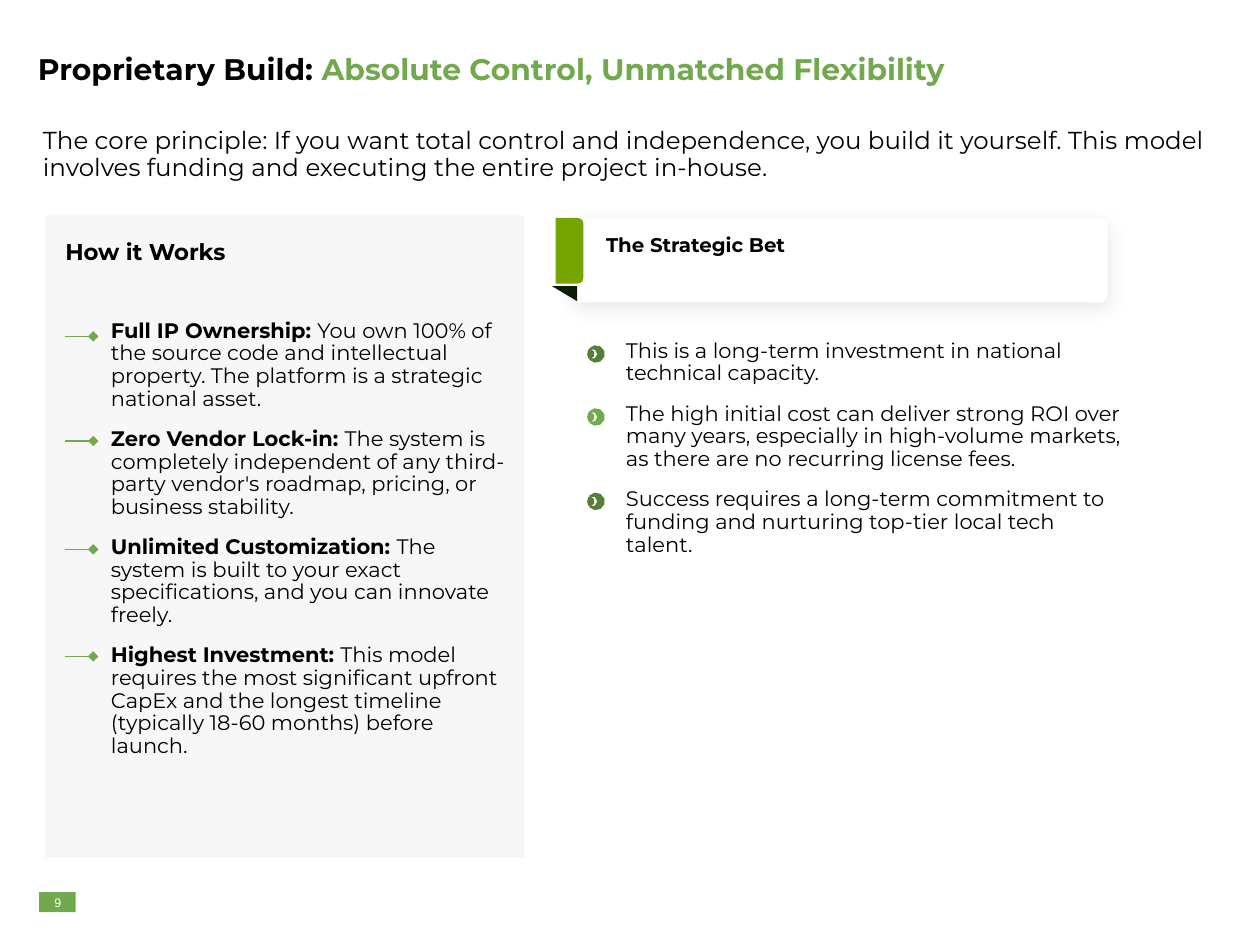
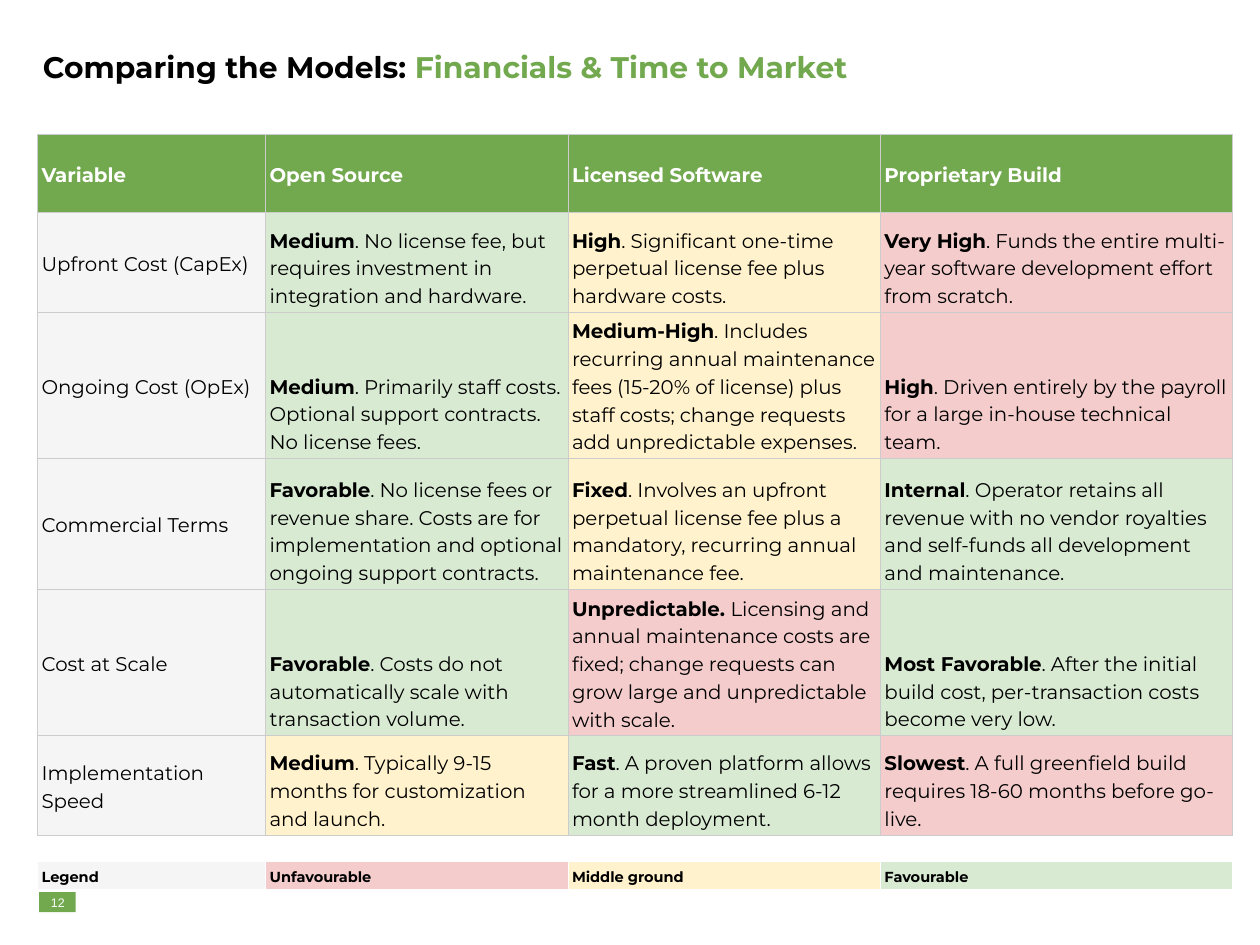
import math

from lxml import etree
from pptx import Presentation
from pptx.dml.color import RGBColor
from pptx.enum import shapes, text
from pptx.oxml import ns
from pptx.util import Inches, Pt

INK = {
    "black": "000000", "white": "FFFFFF", "green": "72A84E", "moss": "557E3A",
    "lime": "75A403", "night": "0D1C05", "panel": "F7F7F7", "label": "F5F5F5",
    "good": "D9EAD3", "mid": "FFF2CC", "bad": "F4CCCC", "grid": "CCCCCC",
}
FONT = "Montserrat"
SHAPE = shapes.MSO_SHAPE
ANCHOR = text.MSO_ANCHOR
COLS = [1.81, 2.4, 2.48, 2.79]

WORKS = [
    ("Full IP Ownership: ", "You own 100% of the source code and intellectual property. "
     "The platform is a strategic national asset."),
    ("Zero Vendor Lock-in: ", "The system is completely independent of any third-party "
     "vendor's roadmap, pricing, or business stability."),
    ("Unlimited Customization: ", "The system is built to your exact specifications, "
     "and you can innovate freely."),
    ("Highest Investment: ", "This model requires the most significant upfront CapEx and "
     "the longest timeline (typically 18-60 months) before launch."),
]
BETS = [
    "This is a long-term investment in national technical capacity.",
    "The high initial cost can deliver strong ROI over many years, especially in "
    "high-volume markets, as there are no recurring license fees.",
    "Success requires a long-term commitment to funding and nurturing top-tier local "
    "tech talent.",
]
HEADS = ["Variable", "Open Source", "Licensed Software", "Proprietary Build"]
# Each row: label, then (rating, verdict, detail) for every model
RATES = [
    ("Upfront Cost (CapEx)",
     ("good", "Medium", ". No license fee, but requires investment in integration and hardware."),
     ("mid", "High", ". Significant one-time perpetual license fee plus hardware costs."),
     ("bad", "Very High", ". Funds the entire multi-year software development effort from scratch.")),
    ("Ongoing Cost (OpEx)",
     ("good", "Medium", ". Primarily staff costs. Optional support contracts. No license fees."),
     ("mid", "Medium-High", ". Includes recurring annual maintenance fees (15-20% of license) "
      "plus staff costs; change requests add unpredictable expenses."),
     ("bad", "High", ". Driven entirely by the payroll for a large in-house technical team.")),
    ("Commercial Terms",
     ("good", "Favorable", ". No license fees or revenue share. Costs are for implementation "
      "and optional ongoing support contracts."),
     ("mid", "Fixed", ". Involves an upfront perpetual license fee plus a mandatory, "
      "recurring annual maintenance fee."),
     ("good", "Internal", ". Operator retains all revenue with no vendor royalties and "
      "self-funds all development and maintenance.")),
    ("Cost at Scale",
     ("good", "Favorable", ". Costs do not automatically scale with transaction volume."),
     ("bad", "Unpredictable. ", "Licensing and annual maintenance costs are fixed; change "
      "requests can grow large and unpredictable with scale."),
     ("good", "Most Favorable", ". After the initial build cost, per-transaction costs "
      "become very low.")),
    ("Implementation Speed",
     ("mid", "Medium", ". Typically 9-15 months for customization and launch."),
     ("good", "Fast", ". A proven platform allows for a more streamlined 6-12 month deployment."),
     ("bad", "Slowest", ". A full greenfield build requires 18-60 months before go-live.")),
]
LEGEND = [("label", "Legend"), ("bad", "Unfavourable"), ("mid", "Middle ground"),
          ("good", "Favourable")]


def rgb(key):
    return RGBColor.from_string(INK[key])


def node(parent, tag, **attrs):
    item = etree.SubElement(parent, ns.qn(tag))
    for key, value in attrs.items():
        item.set(key, str(value))
    return item


def paint(shape, ink):
    shape.shadow.inherit = False
    shape.fill.solid()
    shape.fill.fore_color.rgb = rgb(ink)
    shape.line.fill.background()
    return shape


def block(slide, kind, box, ink, turn=0, round_by=None):
    """Add a filled preset shape; box is its frame before turning."""
    shape = paint(slide.shapes.add_shape(kind, *map(Inches, box)), ink)
    shape.rotation = turn
    if round_by is not None:
        shape.adjustments[0] = round_by
        shape.adjustments[1] = 0
    return shape


def write(para, runs, size, line=0.9, font=FONT):
    """Fill a paragraph from (words, bold, colour) runs."""
    para.line_spacing = line
    for words, bold, ink in runs:
        run = para.add_run()
        run.text = words
        run.font.name, run.font.size, run.font.bold = font, Pt(size), bold
        run.font.color.rgb = rgb(ink)


def label(slide, box, paras, size, pad=(0.04, 0.02), anchor=ANCHOR.TOP, **style):
    frame = slide.shapes.add_textbox(*map(Inches, box)).text_frame
    frame.word_wrap = True
    frame.vertical_anchor = anchor
    frame.margin_left = frame.margin_right = Inches(pad[0])
    frame.margin_top = frame.margin_bottom = Inches(pad[1])
    for i, runs in enumerate(paras):
        para = frame.add_paragraph() if i else frame.paragraphs[0]
        if i:
            para.space_before = Pt(10)
        write(para, runs, size, **style)
    return frame


def base(deck, box, lead, tail, page):
    """Start a slide with its two-colour title and page number."""
    slide = deck.slides.add_slide(deck.slide_layouts[6])
    label(slide, box, [[(lead, True, "black"), (tail, True, "green")]], 17,
          anchor=ANCHOR.MIDDLE)
    block(slide, SHAPE.RECTANGLE, (0.31, 7.08, 0.29, 0.16), "green")
    frame = label(slide, (0.36, 7.09, 0.2, 0.14), [[(page, False, "white")]], 7.1,
                  (0, 0), ANCHOR.MIDDLE, line=1, font="Arial")
    frame.paragraphs[0].alignment = text.PP_ALIGN.CENTER
    return slide


def pin(slide, x, y):
    """Draw a short line ending in a diamond."""
    line = slide.shapes.add_connector(shapes.MSO_CONNECTOR.STRAIGHT, Inches(x), Inches(y),
                                      Inches(x + 0.22), Inches(y))
    line.line.color.rgb = rgb("green")
    line.line.width = Pt(0.75)
    node(line.line._get_or_add_ln(), "a:tailEnd", type="diamond")
    node(line._element.spPr, "a:effectLst")


def arc(x, y, r, start, end, steps):
    angles = [math.radians(start + (end - start) * i / steps) for i in range(steps + 1)]
    return [(Inches(x + r * math.cos(a)), Inches(y + r * math.sin(a))) for a in angles]


def moon(slide, x, y, ink):
    """Draw a disc cut by a crescent, centred at x, y."""
    disc = arc(x, y, 0.07, -140, 140, 7) + arc(x - 0.03, y, 0.04, 110, -110, 4)
    lens = arc(x - 0.05, y, 0.04, -80, 80, 3) + arc(x, y, 0.07, 150, 210, 2)
    path = slide.shapes.build_freeform(*disc[0], scale=1.0)
    path.add_line_segments(disc[1:], close=True)
    path.move_to(*lens[0])
    path.add_line_segments(lens[1:], close=True)
    paint(path.convert_to_shape(), ink)


def works(slide, x, y, w, h):
    block(slide, SHAPE.RECTANGLE, (x, y, w, h), "panel")
    label(slide, (x + 0.06, y + 0.1, 3.28, 0.4), [[("How it Works", True, "black")]],
          13, (0.1, 0.1))
    label(slide, (x + 0.48, y + 0.81, w - 0.58, h - 0.95),
          [[(lead, True, "black"), (rest, False, "black")] for lead, rest in WORKS], 12)
    for drop in (0.96, 1.79, 2.65, 3.5):
        pin(slide, x + 0.16, y + drop)


def bet(slide, x, y):
    card = block(slide, SHAPE.ROUND_2_SAME_RECTANGLE, (x + 1.96, y - 1.79, 0.66, 4.24),
                 "white", 90, 0.08)
    glow = node(card._element.spPr.find(ns.qn("a:effectLst")), "a:outerShdw",
                blurRad=Pt(12.1), dist=Pt(2.4), dir=5400000, algn="ctr", rotWithShape=0)
    node(node(glow, "a:srgbClr", val=INK["black"]), "a:alpha", val=10000)
    block(slide, SHAPE.ROUND_2_SAME_RECTANGLE, (x - 0.12, y + 0.14, 0.52, 0.22),
          "lime", 90, 0.2)
    block(slide, SHAPE.RIGHT_TRIANGLE, (x, y + 0.53, 0.2, 0.12), "night", 180)
    label(slide, (x + 0.32, y + 0.04, 1.95, 0.4), [[("The Strategic Bet", True, "black")]],
          11.3, (0.11, 0.11))
    label(slide, (x + 0.49, y + 0.86, 4.17, 1.94),
          [[(words, False, "black")] for words in BETS], 12, (0.1, 0.1))
    for drop, ink in ((1.07, "moss"), (1.57, "green"), (2.24, "moss")):
        moon(slide, x + 0.35, y + drop, ink)


def cell_fill(cell, runs, ink, size, edge, anchor):
    cell.margin_left = cell.margin_right = cell.margin_top = cell.margin_bottom = Inches(0.03)
    cell.vertical_anchor = anchor
    for side in ("a:lnL", "a:lnR", "a:lnT", "a:lnB"):
        line = node(cell._tc.get_or_add_tcPr(), side, w=Pt(0.62))
        node(node(line, "a:solidFill"), "a:srgbClr", val=INK[edge])
    cell.fill.solid()
    cell.fill.fore_color.rgb = rgb(ink)
    write(cell.text_frame.paragraphs[0], runs, size, 1.15)


def grid(slide, x, y, highs, rows, size, edge):
    """Add a table from rows of (fill, runs); the label cells are centred vertically."""
    table = slide.shapes.add_table(len(rows), len(COLS), Inches(x), Inches(y),
                                   Inches(sum(COLS)), Inches(sum(highs))).table
    table.first_row = table.horz_banding = False
    for col, wide in zip(table.columns, COLS):
        col.width = Inches(wide)
    for r, (row, high) in enumerate(zip(rows, highs)):
        table.rows[r].height = Inches(high)
        for c, (ink, runs) in enumerate(row):
            mid = c == 0 or ink == "green"
            cell_fill(table.cell(r, c), runs, ink, size, edge,
                      ANCHOR.MIDDLE if mid else ANCHOR.BOTTOM)


def build(deck):
    slide = base(deck, (0.26, 0.31, 8.18, 0.51), "Proprietary Build: ",
                 "Absolute Control, Unmatched Flexibility", "9")
    label(slide, (0.3, 1, 9.41, 0.61), [[(
        "The core principle: If you want total control and independence, you build it "
        "yourself. This model involves funding and executing the entire project in-house.",
        False, "black")]], 14)
    works(slide, 0.36, 1.71, 3.8, 5.1)
    bet(slide, 4.38, 1.74)


def compare(deck):
    slide = base(deck, (0.3, 0.29, 7.04, 0.51), "Comparing the Models: ",
                 "Financials & Time to Market", "12")
    rows = [[("green", [(head, True, "white")]) for head in HEADS]]
    for name, *rates in RATES:
        rows.append([("label", [(name, False, "black")])] + [
            (ink, [(lead, True, "black"), (rest, False, "black")])
            for ink, lead, rest in rates])
    grid(slide, 0.3, 1.07, [0.62, 0.79, 1.16, 1.04, 1.16, 0.79], rows, 11.3, "grid")
    keys = [(ink, [(name, True, "black")]) for ink, name in LEGEND]
    grid(slide, 0.3, 6.84, [0.16], [keys], 8.3, "white")


def main():
    deck = Presentation()
    deck.slide_width, deck.slide_height = Inches(10), Inches(7.5)
    build(deck)
    compare(deck)
    deck.save("out.pptx")


if __name__ == "__main__":
    main()
